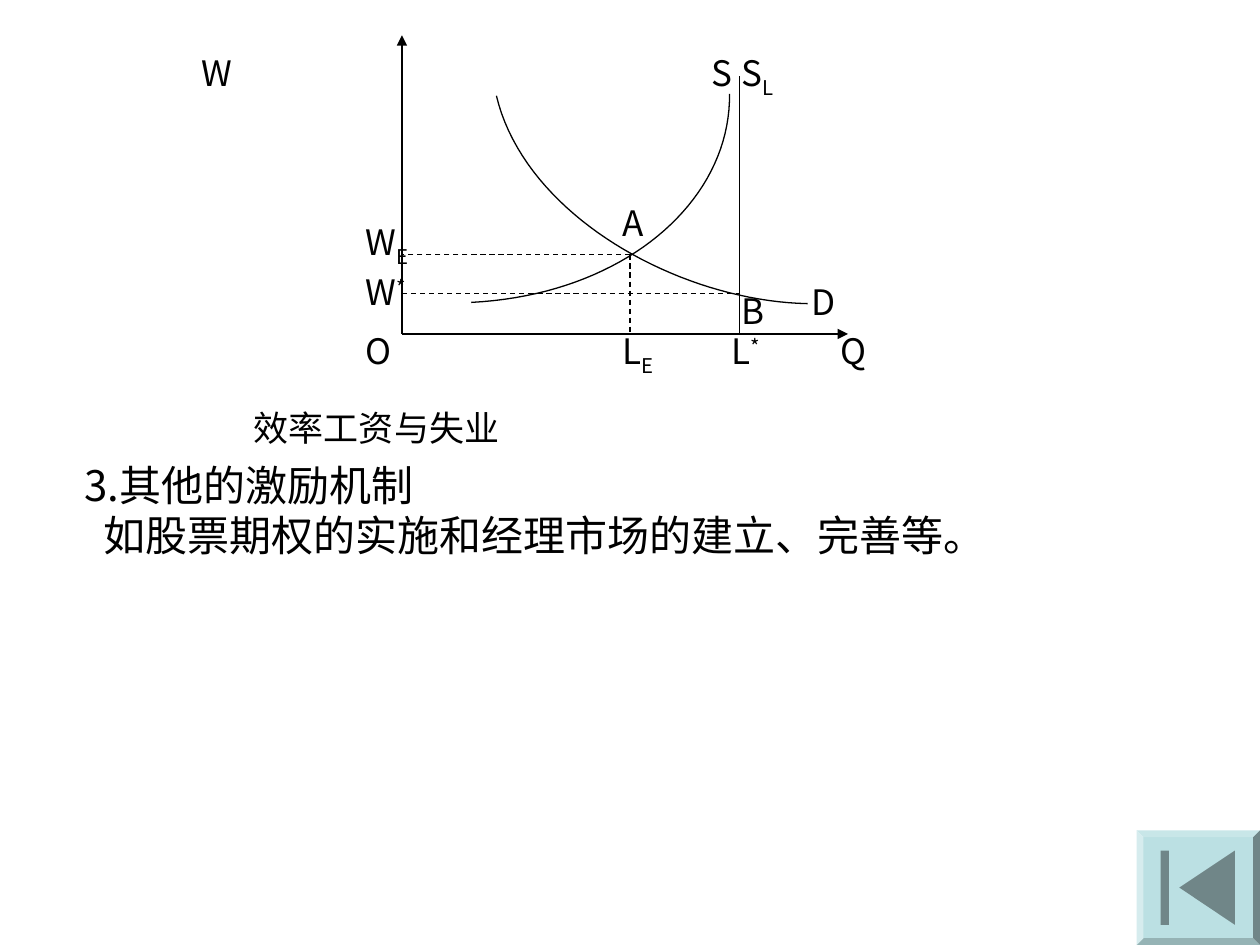
"""Build the efficiency wage and unemployment slide."""
from dataclasses import dataclass

from lxml.etree import SubElement
from pptx import Presentation
from pptx.dml.color import RGBColor
from pptx.enum.dml import MSO_LINE_DASH_STYLE as Dash
from pptx.enum.shapes import MSO_CONNECTOR as Connector, MSO_SHAPE as Shape
from pptx.oxml.ns import qn
from pptx.util import Pt


@dataclass(frozen=True)
class Theme:
    font: str = "Noto Sans CJK SC"
    ink: RGBColor = RGBColor(0x00, 0x00, 0x00)
    button: RGBColor = RGBColor(0xBB, 0xE0, 0xE3)
    icon: RGBColor = RGBColor(0x70, 0x86, 0x88)
    label: int = 20
    body: int = 24
    line: float = 0.75


THEME = Theme()
ORIGIN_X, ORIGIN_Y = 229.7, 190.8
LABOUR_E, LABOUR_FULL = 360, 422.6
WAGE_E, WAGE_FULL = 145.4, 167.8
SUPPLY = [(269.3, 172.8), (355.7, 168.5), (417.6, 115.9), (416.9, 53.6)]
DEMAND = [(283.7, 54.7), (300.2, 123.8), (388.8, 172.1), (461.5, 173.5)]
LABELS = [
    ("W", "", 0, 108, 25.9),
    ("W", "E", -25, 201.6, 122.4),
    ("W", "*", 30, 201.6, 151.2),
    ("L", "E", -25, 348.5, 185),
    ("L", "*", 30, 411.1, 185),
    ("Q", "", 0, 473, 185),
    ("O", "", 0, 201.6, 185),
    ("A", "", 0, 348.5, 111.6),
    ("D", "", 0, 456.5, 157),
    ("B", "", 0, 416.9, 162),
    ("S", "", 0, 399.6, 25.9),
    ("S", "L", -25, 416.9, 25.9),
]


def add_span(para, text, size, baseline=0):
    span = para.add_run()
    span.text = text
    span.font.size = Pt(size)
    span.font.name = THEME.font
    span.font.color.rgb = THEME.ink
    properties = span.font._element
    SubElement(properties, qn("a:ea"), typeface=THEME.font)
    if baseline:
        properties.set("baseline", str(baseline * 1000))


def add_box(page, left, top, width, height):
    box = page.shapes.add_textbox(Pt(left), Pt(top), Pt(width), Pt(height))
    box.text_frame.word_wrap = True
    return box.text_frame


def add_label(page, text, script, baseline, left, top):
    para = add_box(page, left, top, 68, 32).paragraphs[0]
    add_span(para, text, THEME.label)
    if script:
        add_span(para, script, THEME.label, baseline)


def add_line(page, start, end, dashed=False, arrow=False):
    line = page.shapes.add_connector(Connector.STRAIGHT, *map(Pt, start + end))
    line.line.color.rgb = THEME.ink
    line.line.width = Pt(THEME.line)
    if dashed:
        line.line.dash_style = Dash.DASH
    if arrow:
        SubElement(line.line._get_or_add_ln(), qn("a:tailEnd"), type="triangle")
    SubElement(line._element.spPr, qn("a:effectLst"))


def add_outline(page, points, close):
    builder = page.shapes.build_freeform(*map(Pt, points[0]))
    builder.add_line_segments([tuple(map(Pt, point)) for point in points[1:]], close)
    outline = builder.convert_to_shape()
    outline.shadow.inherit = False
    return outline


def add_curve(page, controls, steps=40):
    points = []
    for step in range(steps + 1):
        t = step / steps
        weights = ((1 - t) ** 3, 3 * t * (1 - t) ** 2, 3 * t * t * (1 - t), t ** 3)
        points.append(tuple(sum(w * v for w, v in zip(weights, axis)) for axis in zip(*controls)))
    curve = add_outline(page, points, False)
    curve.fill.background()
    curve.line.color.rgb = THEME.ink
    curve.line.width = Pt(THEME.line)


def fill_plain(shape, colour):
    shape.shadow.inherit = False
    shape.fill.solid()
    shape.fill.fore_color.rgb = colour
    shape.line.fill.background()


def add_button(page):
    bevel = page.shapes.add_shape(Shape.BEVEL, Pt(649.5), Pt(474.5), Pt(70.5), Pt(65.5))
    bevel.adjustments[0] = 0.06
    fill_plain(bevel, THEME.button)
    bar = page.shapes.add_shape(Shape.RECTANGLE, Pt(663.3), Pt(486), Pt(4.7), Pt(42.5))
    fill_plain(bar, THEME.icon)
    arrow = add_outline(page, [(673.9, 507.2), (705.7, 486), (705.7, 528.5)], True)
    fill_plain(arrow, THEME.icon)


def add_diagram(page):
    origin = (ORIGIN_X, ORIGIN_Y)
    add_line(page, origin, (484.6, ORIGIN_Y), arrow=True)
    add_line(page, origin, (ORIGIN_X, 20.2), arrow=True)
    add_curve(page, SUPPLY)
    add_curve(page, DEMAND)
    add_line(page, (ORIGIN_X, WAGE_FULL), (LABOUR_FULL, WAGE_FULL), dashed=True)
    add_line(page, (LABOUR_FULL, ORIGIN_Y), (LABOUR_FULL, 43.2))
    add_line(page, (LABOUR_E, WAGE_E), (LABOUR_E, ORIGIN_Y), dashed=True)
    add_line(page, (LABOUR_E, WAGE_E), (ORIGIN_X, WAGE_E), dashed=True)
    for label in LABELS:
        add_label(page, *label)


def add_body(page):
    caption = add_box(page, 138, 229, 200, 36)
    add_span(caption.paragraphs[0], "效率工资与失业", THEME.label)
    body = add_box(page, 41, 259, 630, 77)
    add_span(body.paragraphs[0], "3.其他的激励机制", THEME.body)
    para = body.add_paragraph()
    para._p.get_or_add_pPr().set("marL", str(Pt(11)))
    add_span(para, "如股票期权的实施和经理市场的建立、完善等。", THEME.body)


def main():
    deck = Presentation()
    deck.slide_width, deck.slide_height = Pt(720), Pt(540)
    page = deck.slides.add_slide(deck.slide_layouts[6])
    add_body(page)
    add_diagram(page)
    add_button(page)
    deck.save("out.pptx")


if __name__ == "__main__":
    main()
